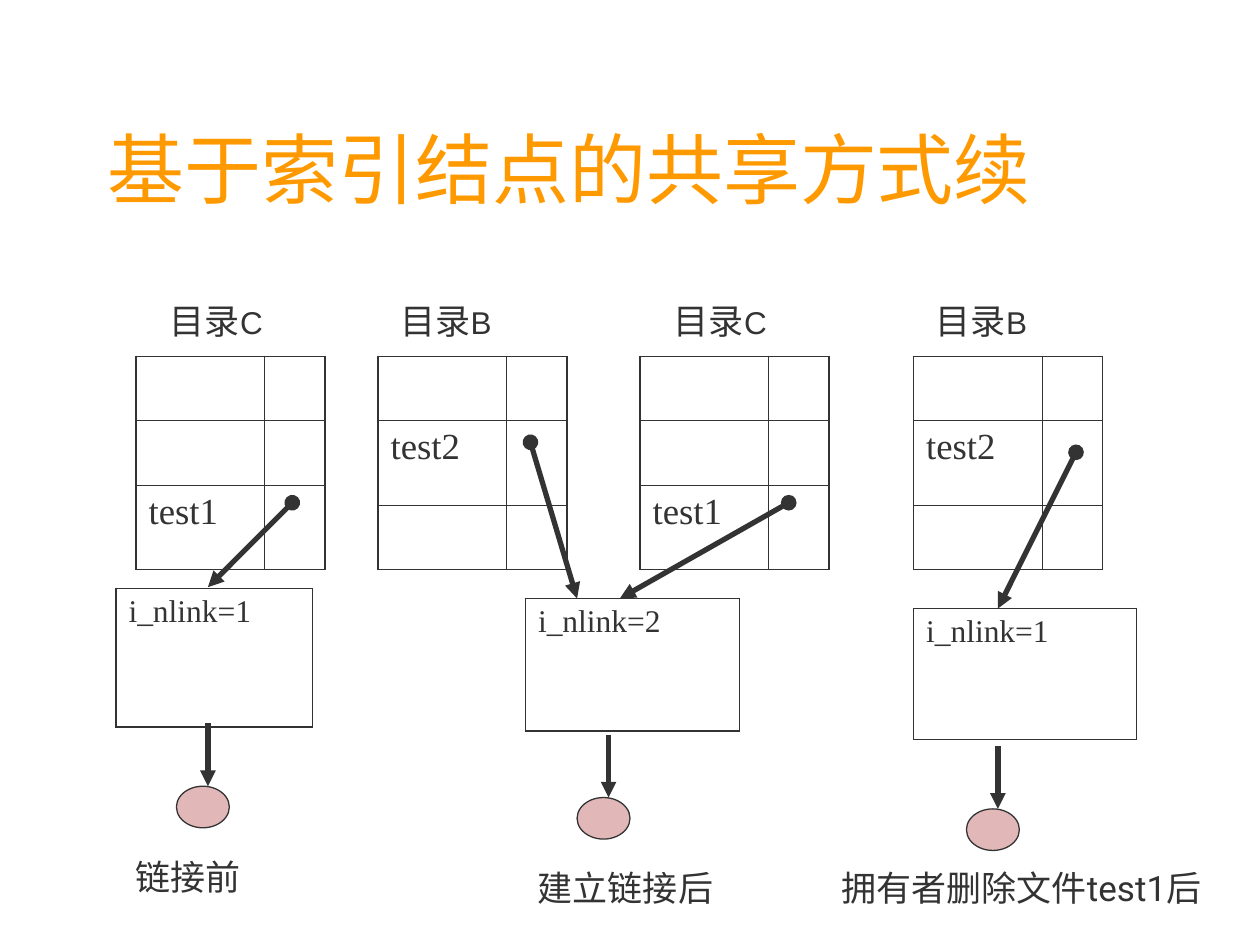
import pptx
import pptx.dml.color
import pptx.enum.shapes
import pptx.enum.text
import pptx.oxml
import pptx.oxml.ns
import pptx.util
from dataclasses import dataclass

Inches, Pt = pptx.util.Inches, pptx.util.Pt
RGB = pptx.dml.color.RGBColor.from_string
SHAPE = pptx.enum.shapes.MSO_SHAPE
NS = pptx.oxml.ns.nsdecls("a")


@dataclass(frozen=True)
class Theme:
    ink: str = "333333"
    title: str = "FF9900"
    disk: str = "E1B7B7"
    serif: str = "Times New Roman"
    cjk: str = "Roboto"
    latin: str = "Arial"
    title_size: float = 44
    entry_size: float = 21
    label_size: float = 20
    small_size: float = 18
    outer: float = 1.08
    inner: float = 0.45
    arrow: float = 3
    outline: float = 0.75


class Deck:
    def __init__(self, theme):
        self.theme = theme
        self.prs = pptx.Presentation()
        self.prs.slide_width, self.prs.slide_height = Inches(10), Inches(7.5)
        self.s = self.prs.slides.add_slide(self.prs.slide_layouts[5])

    def font(self, target, name, size, color=None):
        f = target.font
        f.name, f.size = name, Pt(size)
        f.color.rgb = RGB(color or self.theme.ink)

    def title(self, text):
        sp = self.s.shapes.title
        sp.left, sp.top = Inches(0.75), Inches(0.5)
        sp.width, sp.height = Inches(8.5), Inches(1.25)
        tf = sp.text_frame
        tf.text = text
        tf.vertical_anchor = pptx.enum.text.MSO_ANCHOR.BOTTOM
        p = tf.paragraphs[0]
        p.alignment = pptx.enum.text.PP_ALIGN.LEFT
        self.font(p, self.theme.serif, self.theme.title_size, self.theme.title)

    def label(self, x, y, w, text, letter=""):
        sp = self.s.shapes.add_textbox(Inches(x), Inches(y), Inches(w), Inches(0.44))
        tf = sp.text_frame
        tf.word_wrap = True
        p = tf.paragraphs[0]
        r = p.add_run()
        r.text = text
        self.font(p, self.theme.cjk, self.theme.label_size)
        if letter:
            r = p.add_run()
            r.text = letter
            self.font(r, self.theme.latin, self.theme.small_size)

    def borders(self, cell, edges):
        """edges: one flag each for left, right, top, bottom; True is outer."""
        tc_pr = cell._tc.get_or_add_tcPr()
        for i, (side, is_outer) in enumerate(zip("LRTB", edges)):
            width = Pt(self.theme.outer if is_outer else self.theme.inner)
            tc_pr.insert(i, pptx.oxml.parse_xml(
                f'<a:ln{side} {NS} w="{width}"><a:solidFill>'
                f'<a:srgbClr val="{self.theme.ink}"/></a:solidFill></a:ln{side}>'))

    def table(self, x, y, cols, rows, entries, size):
        """entries maps (row, column) to the text of that cell."""
        frame = self.s.shapes.add_table(len(rows), len(cols), Inches(x), Inches(y),
                                        Inches(sum(cols)), Inches(sum(rows)))
        tbl = frame.table
        tbl.first_row = tbl.horz_banding = False
        for col, w in zip(tbl.columns, cols):
            col.width = Inches(w)
        for row, h in zip(tbl.rows, rows):
            row.height = Inches(h)
        for i in range(len(rows)):
            for j in range(len(cols)):
                cell = tbl.cell(i, j)
                cell.fill.background()
                self.borders(cell, (j == 0, j == len(cols) - 1,
                                    i == 0, i == len(rows) - 1))
                cell.text = entries.get((i, j), "")
                self.font(cell.text_frame.paragraphs[0], self.theme.serif, size)

    def directory(self, x, letter, label_x, entry, entry_row):
        rows = [0.51] * 3
        rows[entry_row] = 0.67
        self.label(label_x, 2.33, 1.42, "目录", letter)
        self.table(x, 2.83, [1.02, 0.48], rows, {(entry_row, 0): entry},
                   self.theme.entry_size)

    def inode(self, x, y, w, h, count):
        self.table(x, y, [w], [h], {(0, 0): f"i_nlink={count}"},
                   self.theme.small_size)

    def arrow(self, start, end, dot=False):
        c = self.s.shapes.add_connector(pptx.enum.shapes.MSO_CONNECTOR.STRAIGHT,
                                        *map(Inches, start + end))
        c.line.color.rgb = RGB(self.theme.ink)
        c.line.width = Pt(self.theme.arrow)
        ln = c.line._get_or_add_ln()
        if dot:
            ln.append(pptx.oxml.parse_xml(f'<a:headEnd {NS} type="oval"/>'))
        ln.append(pptx.oxml.parse_xml(f'<a:tailEnd {NS} type="triangle"/>'))
        c._element.spPr.append(pptx.oxml.parse_xml(f"<a:effectLst {NS}/>"))

    def file_disk(self, x, y):
        """A disk with the arrow that comes down to it."""
        sp = self.s.shapes.add_shape(SHAPE.OVAL, Inches(x), Inches(y),
                                     Inches(0.42), Inches(0.33))
        sp.shadow.inherit = False
        sp.fill.solid()
        sp.fill.fore_color.rgb = RGB(self.theme.disk)
        sp.line.color.rgb = RGB(self.theme.ink)
        sp.line.width = Pt(self.theme.outline)
        self.arrow((x + 0.25, y - 0.5), (x + 0.25, y))


def main():
    deck = Deck(Theme())
    deck.title("基于索引结点的共享方式续")

    # Directories: left, letter, label left, entry, row of the entry
    for directory in [(1.08, "C", 1.25, "test1", 2), (3, "B", 3.08, "test2", 1),
                      (5.08, "C", 5.25, "test1", 2), (7.25, "B", 7.33, "test2", 1)]:
        deck.directory(*directory)

    # Index nodes: left, top, width, height, link count
    for inode in [(0.92, 4.67, 1.56, 1.1, 1), (4.17, 4.75, 1.7, 1.05, 2),
                  (7.25, 4.83, 1.77, 1.04, 1)]:
        deck.inode(*inode)

    # Files below the index nodes
    for disk in [(1.4, 6.24), (4.58, 6.33), (7.67, 6.42)]:
        deck.file_disk(*disk)

    # Pointers from directory entries to index nodes
    for start, end in [((2.32, 3.99), (1.65, 4.66)), ((4.21, 3.51), (4.58, 4.75)),
                       ((6.26, 3.99), (4.92, 4.75)), ((8.54, 3.59), (7.92, 4.83))]:
        deck.arrow(start, end, dot=True)

    # Captions of the three stages
    for caption in [(0.98, 6.74, 1.42, "链接前"), (4.17, 6.83, 2.08, "建立链接后"),
                    (6.58, 6.83, 3.39, "拥有者删除文件test1后")]:
        deck.label(*caption)

    deck.prs.save("out.pptx")


if __name__ == "__main__":
    main()
